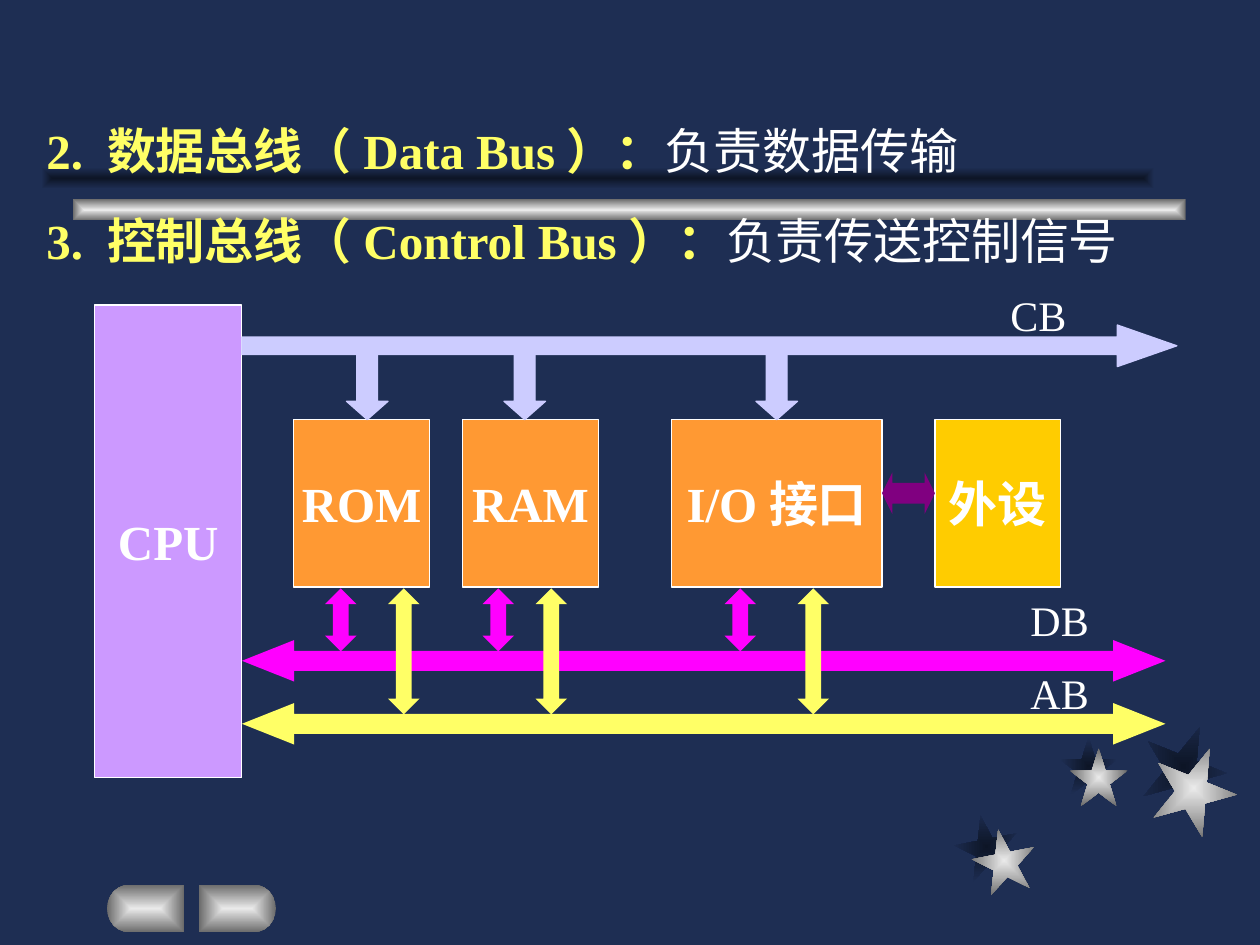
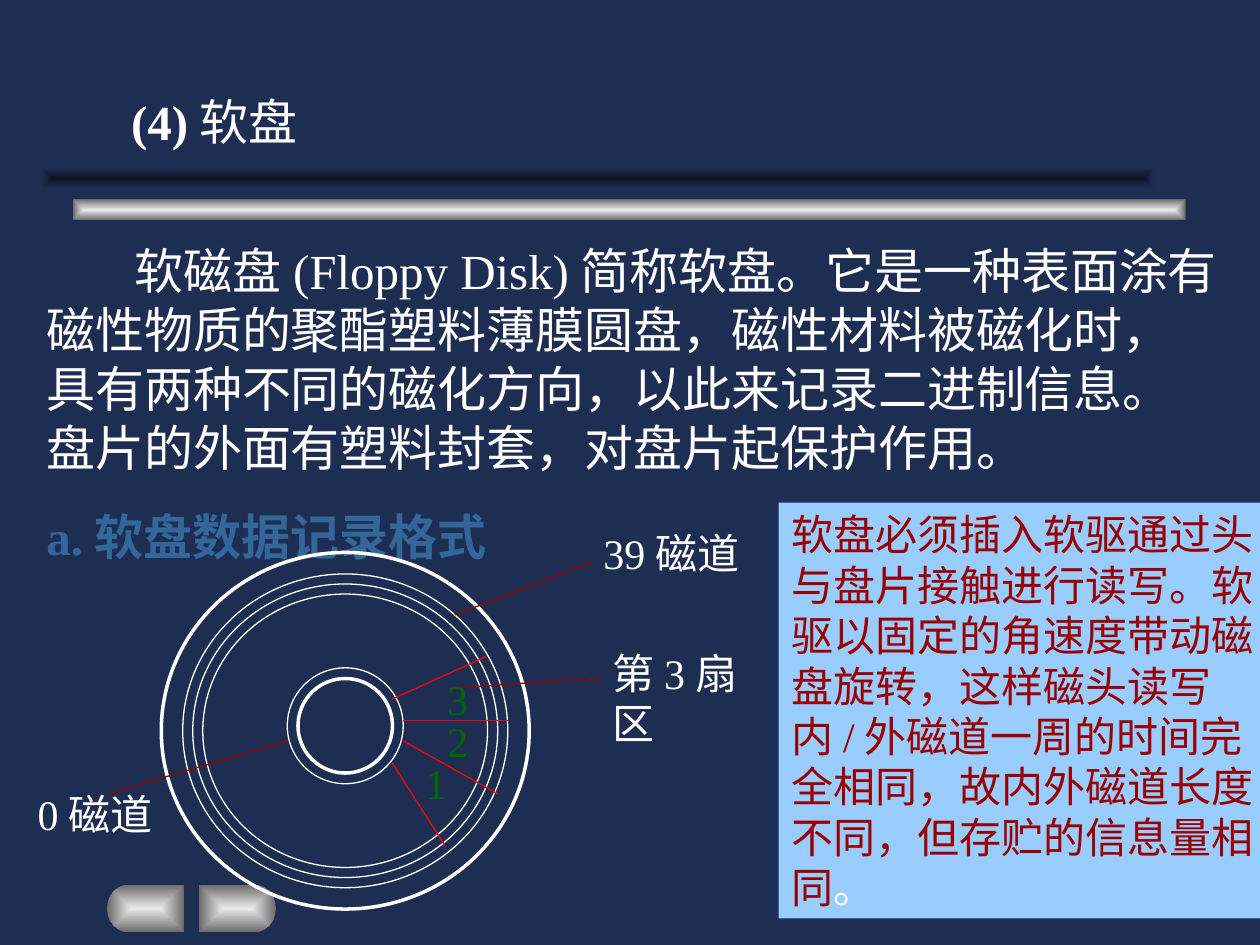
from math import cos, sin, radians
from lxml.etree import SubElement
from pptx import Presentation
from pptx.dml.color import RGBColor
from pptx.enum.shapes import MSO_CONNECTOR, MSO_SHAPE
from pptx.enum.text import MSO_ANCHOR, MSO_AUTO_SIZE, PP_ALIGN
from pptx.oxml.ns import qn
from pptx.util import Inches, Pt

FONT = "Times New Roman"
NAVY, WHITE, YELLOW = "1E2E53", "FFFFFF", "FFFF66"
PINK, LILAC, ORANGE = "FF00FF", "CCCCFF", "FF9933"
RED, MAROON, GREEN = "FF0000", "990000", "006600"
METAL = ("EAEAEA", "6B6B6B")
SHADE = ("0D1526", NAVY)


def rgb(code):
    return RGBColor.from_string(code)


def paint(shape, fill=None, line=None, width=0.75):
    shape.shadow.inherit = False
    if isinstance(fill, tuple):
        shape.fill.gradient()
        for stop, code in zip(shape.fill.gradient_stops, fill):
            stop.color.rgb = rgb(code)
        grad = shape._element.spPr.find(qn("a:gradFill"))
        grad.remove(grad.find(qn("a:lin")))
        route = SubElement(grad, qn("a:path"), path="rect")
        SubElement(route, qn("a:fillToRect"), l="50000", t="50000", r="50000", b="50000")
    elif fill:
        shape.fill.solid()
        shape.fill.fore_color.rgb = rgb(fill)
    else:
        shape.fill.background()
    if line:
        shape.line.color.rgb = rgb(line)
        shape.line.width = Pt(width)
    else:
        shape.line.fill.background()


def draw(slide, kind, box, fill=None, line=None, width=0.75, turn=0, adjust=()):
    shape = slide.shapes.add_shape(kind, *map(Inches, box))
    paint(shape, fill, line, width)
    shape.rotation = turn
    for index, value in enumerate(adjust):
        shape.adjustments[index] = value
    return shape


def write(frame, *paras, size=28, color=WHITE, bold=False, align=PP_ALIGN.LEFT,
          anchor=MSO_ANCHOR.TOP, wrap=True, gap=17.5, indent=0):
    frame.auto_size = MSO_AUTO_SIZE.NONE
    frame.word_wrap = wrap
    frame.vertical_anchor = anchor
    for index, runs in enumerate(paras):
        para = frame.add_paragraph() if index else frame.paragraphs[0]
        para.alignment = align
        if index:
            para.space_before = Pt(gap)
        elif indent:
            para._p.get_or_add_pPr().set("indent", str(Inches(indent)))
        for text, *style in [(runs,)] if isinstance(runs, str) else runs:
            code, heavy = style or (color, bold)
            run = para.add_run()
            run.text = text
            run.font.name = FONT
            run.font.size = Pt(size)
            run.font.bold = heavy
            run.font.color.rgb = rgb(code)


def label(slide, box, *paras, **style):
    write(slide.shapes.add_textbox(*map(Inches, box)).text_frame, *paras, **style)


def block(slide, text, box, fill):
    shape = draw(slide, MSO_SHAPE.RECTANGLE, box, fill, WHITE)
    write(shape.text_frame, text, bold=True, align=PP_ALIGN.CENTER,
          anchor=MSO_ANCHOR.MIDDLE, wrap=False)


def rule(slide, start, end, color):
    line = slide.shapes.add_connector(MSO_CONNECTOR.STRAIGHT, *map(Inches, start + end))
    line.line.color.rgb = rgb(color)
    line.line.width = Pt(0.75)
    SubElement(line._element.spPr, qn("a:effectLst"))


def button(slide, flat, side):
    curve = [(flat + side * (0.43 + 0.18 * sin(radians(turn))), 7.21 - 0.19 * cos(radians(turn)))
             for turn in range(0, 181, 15)]
    points = [(Inches(x), Inches(y)) for x, y in [(flat, 7.02), *curve, (flat, 7.4)]]
    build = slide.shapes.build_freeform(*points[0])
    build.add_line_segments(points[1:])
    paint(build.convert_to_shape(), METAL)


def stars(slide):
    for fill, places in (
        (SHADE, ((7.58, 6.47), (8.41, 5.85), (9.06, 5.75))),
        (METAL, ((7.72, 6.58), (8.49, 5.94), (9.14, 5.92))),
    ):
        for place, size, turn in zip(places, (0.5, 0.46, 0.67), (349, 0, 22)):
            draw(slide, MSO_SHAPE.STAR_5_POINT, (*place, size, size), fill, turn=turn)


def frame(slide):
    for left, top, fill in ((0.58, 1.58, METAL), (0.33, 1.33, SHADE)):
        draw(slide, MSO_SHAPE.RECTANGLE, (left, top, 8.83, 0.17), fill)
    button(slide, 1.46, -1)
    button(slide, 1.58, 1)


def buses(deck):
    slide = deck.slides.add_slide(deck.slide_layouts[6])
    stars(slide)
    frame(slide)
    label(slide, (0.27, 0.91, 9.5, 1.28),
          [("2. 数据总线（Data Bus）：", YELLOW, True), ("负责数据传输", WHITE, False)],
          [("3. 控制总线（Control Bus）：", YELLOW, True), ("负责传送控制信号", WHITE, False)])
    block(slide, "CPU", (0.75, 2.42, 1.17, 3.75), "CC99FF")
    draw(slide, MSO_SHAPE.RIGHT_ARROW, (1.92, 2.58, 7.42, 0.33), LILAC, LILAC,
         adjust=(0.42, 1.43))
    both = MSO_SHAPE.LEFT_RIGHT_ARROW
    for top, color in ((5.58, YELLOW), (5.08, PINK)):
        draw(slide, both, (1.92, top, 7.33, 0.33), color, adjust=(0.48, 1.26))
    for name, left, width, control, data, address in (
        ("ROM", 2.33, 1.08, 2.75, 2.58, 3.08),
        ("RAM", 3.67, 1.08, 4, 3.83, 4.25),
        ("I/O接口", 5.33, 1.67, 6, 5.75, 6.33),
    ):
        block(slide, name, (left, 3.33, width, 1.33), ORANGE)
        draw(slide, MSO_SHAPE.DOWN_ARROW, (control, 2.75, 0.33, 0.58), LILAC, LILAC,
             adjust=(0.5, 0.44))
        for x, height, color, head in ((data, 0.5, PINK, 0.4), (address, 1, YELLOW, 0.8)):
            draw(slide, MSO_SHAPE.UP_DOWN_ARROW, (x, 4.67, 0.25, height), color,
                 adjust=(head, 0.5))
    block(slide, "外设", (7.42, 3.33, 1, 1.33), "FFCC00")
    draw(slide, both, (7, 3.75, 0.42, 0.33), "800080", adjust=(0.5, 0.25))
    for name, left, top in (("CB", 7.92, 2.25), ("DB", 8.08, 4.67), ("AB", 8.08, 5.25)):
        label(slide, (left, top, 0.75, 0.5), name, size=24)


def ring(slide, middle, width, height, line):
    x, y = middle
    draw(slide, MSO_SHAPE.OVAL, (x - width / 2, y - height / 2, width, height),
         line=WHITE, width=line)


def disk(slide):
    for inset, line in ((0, 2), (0.17, 0.75), (0.25, 0.75), (0.33, 0.75)):
        ring(slide, (2.74, 5.8), 2.92 - 2 * inset, 2.83 - 2 * inset, line)
    for size, line in ((0.92, 0.75), (0.75, 2)):
        ring(slide, (2.74, 5.76), size, size, line)
    for start, end in (
        ((3.11, 5.55), (3.86, 5.21)),
        ((3.2, 5.72), (4.03, 5.72)),
        ((3.2, 5.88), (3.95, 6.3)),
        ((3.11, 6.05), (3.53, 6.71)),
    ):
        rule(slide, start, end, RED)
    for start, end in (
        ((3.61, 4.88), (4.7, 4.46)),
        ((0.86, 6.3), (2.28, 5.88)),
        ((3.61, 5.46), (4.78, 5.38)),
    ):
        rule(slide, start, end, MAROON)
    for name, left, top in (("3", 3.45, 5.3), ("2", 3.45, 5.63), ("1", 3.28, 5.96)):
        label(slide, (left, top, 0.42, 0.5), name, size=24, color=GREEN)
    for name, box in (
        ("39磁道", (4.69, 4.14, 1.5, 0.5)),
        ("0磁道", (0.2, 6.21, 1.25, 0.5)),
        ("第3扇区", (4.76, 5.09, 1.5, 0.9)),
    ):
        label(slide, box, name, size=24)


def floppy(deck):
    slide = deck.slides.add_slide(deck.slide_layouts[5])
    title = slide.shapes.title
    title.left, title.top, title.width, title.height = map(Inches, (0.94, 0.68, 1.8, 0.57))
    write(title.text_frame, [("(4)", WHITE, True), ("软盘", WHITE, False)])
    frame(slide)
    label(slide, (0.27, 1.86, 9.5, 2.68),
          "软磁盘(Floppy Disk)简称软盘。它是一种表面涂有磁性物质的聚酯塑料薄膜圆盘，"
          "磁性材料被磁化时，具有两种不同的磁化方向，以此来记录二进制信息。"
          "盘片的外面有塑料封套，对盘片起保护作用。",
          [("a.软盘数据记录格式", "336699", True)], indent=0.7)
    disk(slide)
    note = draw(slide, MSO_SHAPE.RECTANGLE, (6.18, 3.99, 4.02, 3.3), "99CCFF")
    write(note.text_frame,
          [("软盘必须插入软驱通过头与盘片接触进行读写。软驱以固定的角速度带动磁盘旋转，"
            "这样磁头读写内/外磁道一周的时间完全相同，故内外磁道长度不同，"
            "但存贮的信息量相同", MAROON, False), ("。", WHITE, False)], size=24)


def main():
    deck = Presentation()
    deck.slide_width, deck.slide_height = Inches(10), Inches(7.5)
    back = deck.slide_master.background.fill
    back.solid()
    back.fore_color.rgb = rgb(NAVY)
    buses(deck)
    floppy(deck)
    deck.save("out.pptx")


if __name__ == "__main__":
    main()
